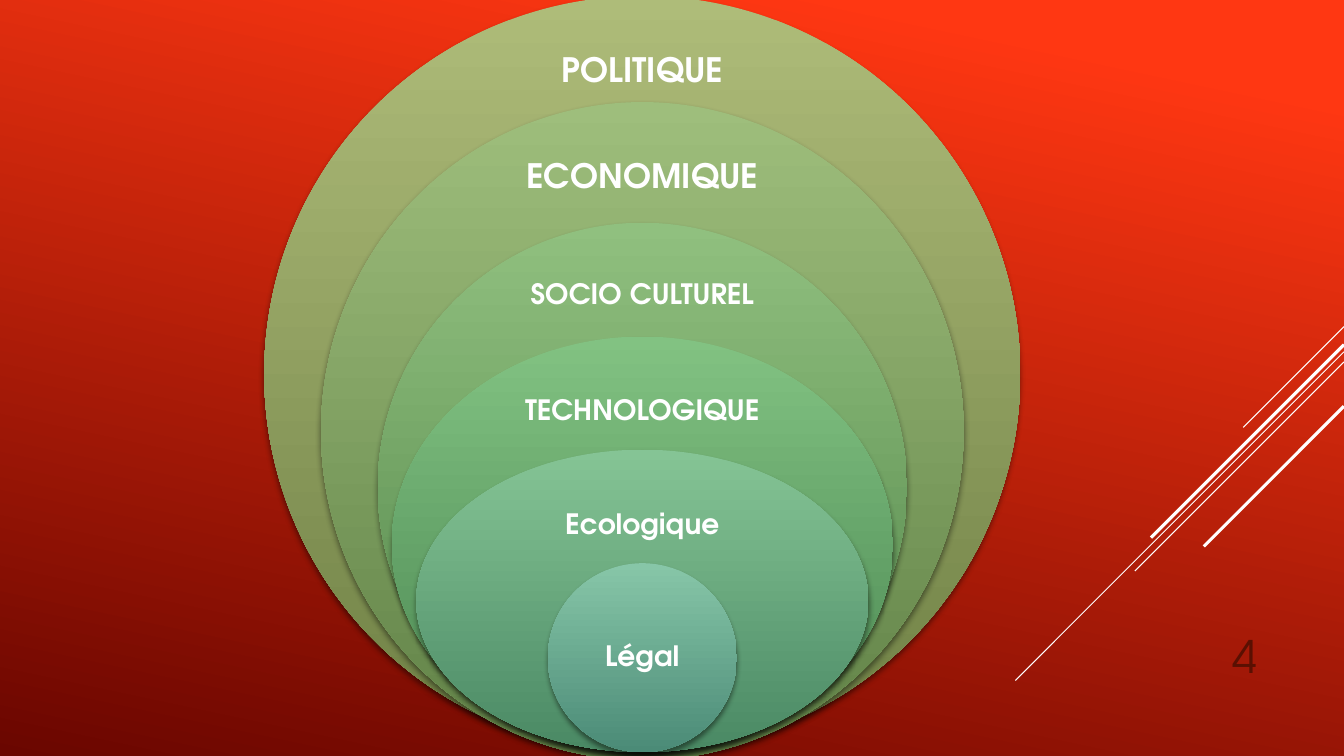
import pptx
import pptx.util
import pptx.dml.color
import pptx.enum.shapes
import pptx.enum.text
import pptx.oxml
import pptx.oxml.ns

Pt = pptx.util.Pt
RGB = pptx.dml.color.RGBColor

WHITE = RGB(0xFF, 0xFF, 0xFF)
NUMBER_BROWN = RGB(0x5A, 0x10, 0x02)
BRIGHT_RED = RGB(0xFF, 0x37, 0x12)
DARK_RED = RGB(0x6A, 0x06, 0x00)
FONT = "TeX Gyre Adventor"

# label, label size, width, height, top, label centre below the top, light, dark
RINGS = [
    ("POLITIQUE", 24, 540, 540, -2.9, 54, RGB(0xAE, 0xBC, 0x79), RGB(0x6F, 0x80, 0x45)),
    ("ECONOMIQUE", 24, 459, 470, 72.9, 54, RGB(0x9E, 0xBE, 0x7C), RGB(0x61, 0x82, 0x47)),
    ("SOCIO CULTUREL", 20, 378, 378, 159.1, 52, RGB(0x90, 0xC0, 0x7F), RGB(0x51, 0x84, 0x48)),
    ("TECHNOLOGIQUE", 20, 358, 297, 240.4, 53.5, RGB(0x82, 0xC2, 0x82), RGB(0x49, 0x86, 0x51)),
    ("Ecologique", 20, 323, 216, 321.2, 54, RGB(0x85, 0xC4, 0x95), RGB(0x4A, 0x89, 0x64)),
    ("Légal", 20, 135, 135, 402.3, 67.5, RGB(0x87, 0xC6, 0xA8), RGB(0x4B, 0x8B, 0x77)),
]

# start height on the right edge, horizontal (and vertical) run, line width
DIAGONALS = [(233.3, 72, 0.75), (251.3, 234.7, 0.75), (258.5, 149.4, 0.75),
             (246.2, 137.8, 2.25), (290.2, 100.1, 2.25)]

SHADOW = ('<a:outerShdw %s blurRad="50800" dist="38100" dir="5400000" rotWithShape="0">'
          '<a:srgbClr val="000000"><a:alpha val="46000"/></a:srgbClr></a:outerShdw>'
          % pptx.oxml.ns.nsdecls("a"))


def fill_gradient(fill, angle, stops):
    """Angle is counter-clockwise in degrees; stops are (position, colour) pairs."""
    fill.gradient()
    fill.gradient_angle = angle
    for stop, (position, colour) in zip(fill.gradient_stops, stops):
        stop.position = position
        stop.color.rgb = colour


def add_label(slide, box, wording, font_format, colour):
    label = slide.shapes.add_textbox(*map(Pt, box))
    frame = label.text_frame
    frame_format = {"word_wrap": True, "margin_left": 0, "margin_right": 0,
                    "margin_top": 0, "margin_bottom": 0,
                    "vertical_anchor": pptx.enum.text.MSO_ANCHOR.MIDDLE}
    for name, value in frame_format.items():
        setattr(frame, name, value)
    paragraph = frame.paragraphs[0]
    paragraph.alignment = pptx.enum.text.PP_ALIGN.CENTER
    paragraph.line_spacing = 0.9
    run = paragraph.add_run()
    run.text = wording
    for name, value in font_format.items():
        setattr(run.font, name, value)
    run.font.color.rgb = colour


def add_diagonals(slide, right):
    for top, reach, width in DIAGONALS:
        diagonal = slide.shapes.add_connector(
            pptx.enum.shapes.MSO_CONNECTOR.STRAIGHT,
            Pt(right), Pt(top), Pt(right - reach), Pt(top + reach))
        diagonal.line.color.rgb = WHITE
        diagonal.line.width = Pt(width)
        properties = diagonal._element.spPr
        properties.append(pptx.oxml.parse_xml(
            "<a:effectLst %s/>" % pptx.oxml.ns.nsdecls("a")))


def add_nested_rings(slide, center, top):
    for wording, size, width, height, offset, label_drop, light, dark in RINGS:
        ring_top = top + offset
        ring = slide.shapes.add_shape(
            pptx.enum.shapes.MSO_SHAPE.OVAL,
            Pt(center - width / 2), Pt(ring_top), Pt(width), Pt(height))
        fill_gradient(ring.fill, 270, [(0, light), (1, dark)])
        ring.line.fill.background()
        ring.shadow.inherit = False
        effects = ring._element.spPr.find(pptx.oxml.ns.qn("a:effectLst"))
        effects.append(pptx.oxml.parse_xml(SHADOW))
        label_width = min(200, width)
        add_label(slide, (center - label_width / 2, ring_top + label_drop - 27, label_width, 54),
                  wording, {"name": FONT, "size": Pt(size), "bold": True}, WHITE)


def main():
    deck = pptx.Presentation()
    deck.slide_width, deck.slide_height = Pt(960), Pt(540)
    slide = deck.slides.add_slide(deck.slide_layouts.get_by_name("Blank"))
    fill_gradient(slide.background.fill, 258, [(0.1, BRIGHT_RED), (1, DARK_RED)])
    add_diagonals(slide, 960)
    add_nested_rings(slide, 458.8, 0)
    add_label(slide, (859, 445, 60, 52), "4", {"name": FONT, "size": Pt(32)}, NUMBER_BROWN)
    deck.save("out.pptx")


if __name__ == "__main__":
    main()
